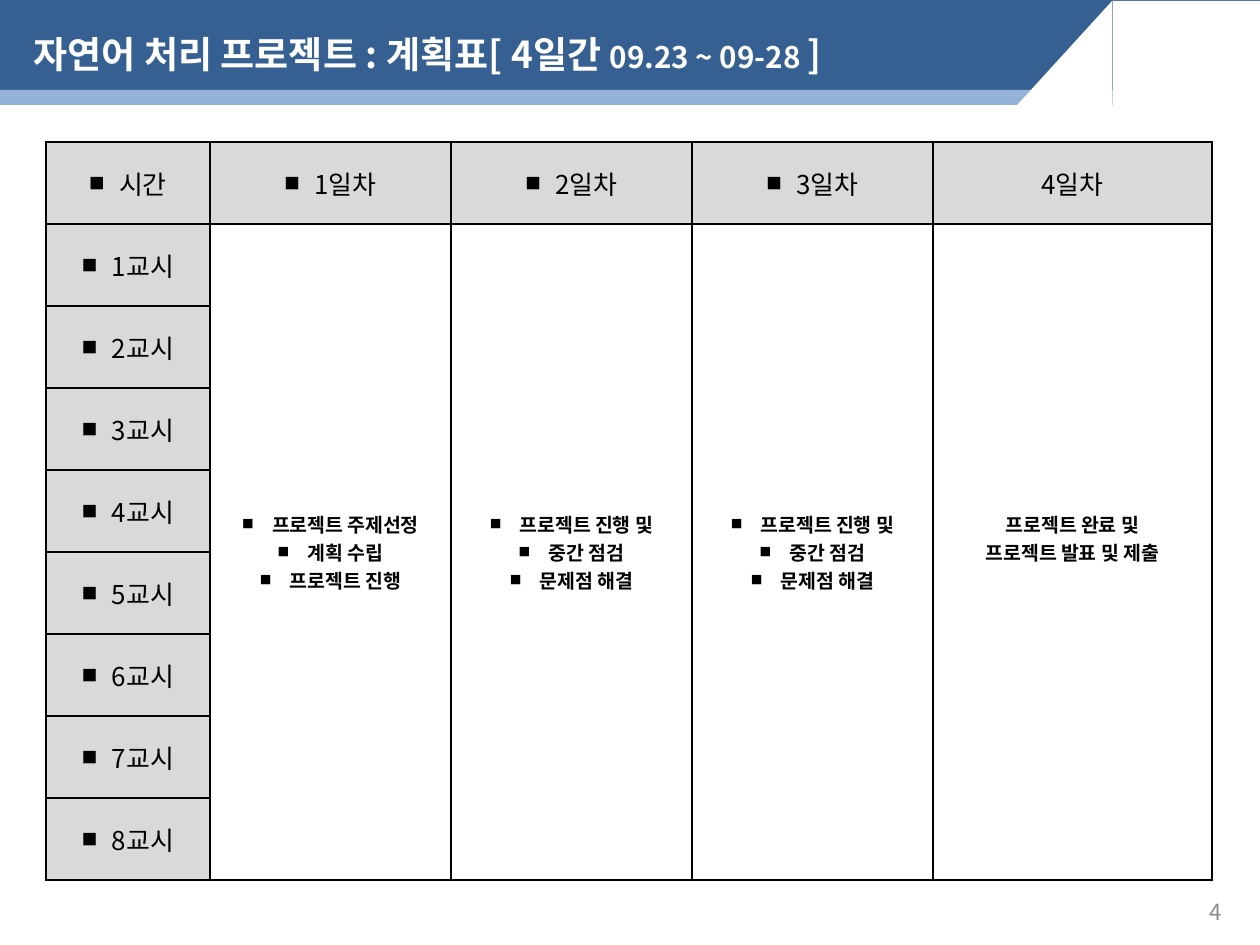
from lxml.etree import SubElement
from pptx import Presentation
from pptx.dml.color import RGBColor
from pptx.enum.shapes import MSO_SHAPE
from pptx.enum.text import MSO_ANCHOR, MSO_AUTO_SIZE, PP_ALIGN
from pptx.oxml.ns import qn
from pptx.util import Pt

EMU_PER_PIXEL = 6858
FONT = "Noto Sans CJK KR"
NAVY = RGBColor(0x37, 0x60, 0x92)
LIGHT_BLUE = RGBColor(0x95, 0xB3, 0xD7)
WHITE = RGBColor(0xFF, 0xFF, 0xFF)
BLACK = RGBColor(0, 0, 0)
HEADER_GRAY = RGBColor(0xD9, 0xD9, 0xD9)
NUMBER_GRAY = RGBColor(0x8C, 0x8C, 0x8C)

COLUMN_WIDTHS = [164, 241, 241, 241, 279]
ROW_HEIGHT = 82
PERIODS = 8
BULLET_INDENT = 30
PROGRESS = ["프로젝트 진행 및", "중간 점검", "문제점 해결"]
DAY_PLANS = [
    ["프로젝트 주제선정", "계획 수립", "프로젝트 진행"],
    PROGRESS,
    PROGRESS,
    ["프로젝트 완료 및", "프로젝트 발표 및 제출"],
]


def px(pixels):
    """Turn pixels into EMU."""
    return pixels * EMU_PER_PIXEL


def add_span(para, text, size, color, bold=False):
    """Add a run set in the slide's font for Latin and Korean text."""
    span = para.add_run()
    span.text = text
    font = span.font
    font.size = Pt(size)
    font.bold = bold
    font.color.rgb = color
    font.name = FONT
    SubElement(font._element, qn("a:ea"), typeface=FONT)


def add_bullet(para):
    """Give a paragraph a small square bullet with a hanging indent."""
    properties = para._p.get_or_add_pPr()
    properties.set("marL", str(px(BULLET_INDENT)))
    properties.set("indent", str(-px(BULLET_INDENT)))
    SubElement(properties, qn("a:buSzPct"), val="60000")
    SubElement(properties, qn("a:buFont"), typeface=FONT)
    SubElement(properties, qn("a:buChar"), char="■")


def add_block(page, kind, left, top, width, height, color, rotation=0):
    """Add a plain filled shape of the header band."""
    block = page.shapes.add_shape(kind, px(left), px(top), px(width), px(height))
    block.rotation = rotation
    block.shadow.inherit = False
    block.fill.solid()
    block.fill.fore_color.rgb = color
    block.line.fill.background()


def add_header(page):
    """Draw the two-tone band with its slanted right end."""
    add_block(page, MSO_SHAPE.RECTANGLE, 0, 0, 1260, 105, NAVY)
    add_block(page, MSO_SHAPE.RECTANGLE, 0, 90, 1260, 15, LIGHT_BLUE)
    add_block(page, MSO_SHAPE.RECTANGLE, 1113, 1, 147, 105, WHITE)
    add_block(page, MSO_SHAPE.RIGHT_TRIANGLE, 928, 9, 193, 176, WHITE, 270)


def fill_title(page):
    """Place the title in front of the band and write its text."""
    title = page.shapes.title
    page.shapes._spTree.append(title._element)
    title.left, title.top, title.width, title.height = map(px, (20, 25, 1020, 57))
    frame = title.text_frame
    frame.word_wrap = True
    frame.auto_size = MSO_AUTO_SIZE.NONE
    frame.vertical_anchor = MSO_ANCHOR.TOP
    para = frame.paragraphs[0]
    para.alignment = PP_ALIGN.LEFT
    add_span(para, "자연어 처리 프로젝트 : 계획표[ 4일간 ", 20, WHITE, True)
    add_span(para, "09.23 ~ 09-28 ", 16, WHITE, True)
    add_span(para, "]", 20, WHITE, True)


def add_page_number(page, number):
    """Write the page number at the bottom right."""
    box = page.shapes.add_textbox(px(924), px(885), px(311), px(53))
    frame = box.text_frame
    frame.word_wrap = True
    frame.vertical_anchor = MSO_ANCHOR.MIDDLE
    para = frame.paragraphs[0]
    para.alignment = PP_ALIGN.RIGHT
    add_span(para, number, 12, NUMBER_GRAY)


def add_borders(cell):
    """Give a cell thin black lines on all four sides."""
    properties = cell._tc.get_or_add_tcPr()
    for side in ("lnL", "lnR", "lnT", "lnB"):
        line = SubElement(properties, qn(f"a:{side}"), w=str(Pt(1)))
        fill = SubElement(line, qn("a:solidFill"))
        SubElement(fill, qn("a:srgbClr"), val=str(BLACK))


def write_cell(cell, lines, size, bulleted, bold=False):
    """Write centred lines into a cell."""
    cell.vertical_anchor = MSO_ANCHOR.MIDDLE
    frame = cell.text_frame
    for index, text in enumerate(lines):
        para = frame.add_paragraph() if index else frame.paragraphs[0]
        para.alignment = PP_ALIGN.CENTER
        if bulleted:
            add_bullet(para)
        add_span(para, text, size, BLACK, bold)


def add_timetable(page):
    """Build the table of days and class periods."""
    rows, columns = PERIODS + 1, len(COLUMN_WIDTHS)
    table = page.shapes.add_table(
        rows, columns, px(46), px(142), px(sum(COLUMN_WIDTHS)), px(rows * ROW_HEIGHT)
    ).table
    table.first_row = table.horz_banding = False
    for column, width in zip(table.columns, COLUMN_WIDTHS):
        column.width = px(width)
    for row_index, row in enumerate(table.rows):
        row.height = px(ROW_HEIGHT)
        for column_index, cell in enumerate(row.cells):
            add_borders(cell)
            if row_index == 0 or column_index == 0:
                cell.fill.solid()
                cell.fill.fore_color.rgb = HEADER_GRAY
            else:
                cell.fill.background()

    write_cell(table.cell(0, 0), ["시간"], 14, True)
    for period in range(1, rows):
        write_cell(table.cell(period, 0), [f"{period}교시"], 14, True)
    for day, plan in enumerate(DAY_PLANS, start=1):
        bulleted = day < len(DAY_PLANS)
        write_cell(table.cell(0, day), [f"{day}일차"], 14, bulleted)
        plan_cell = table.cell(1, day)
        plan_cell.merge(table.cell(PERIODS, day))
        write_cell(plan_cell, plan, 10.5, bulleted, True)
        # Keep the first lines of all days level.
        plan_cell.margin_bottom = px(7 + 28 * (len(PROGRESS) - len(plan)))


def main():
    """Build the project plan slide."""
    deck = Presentation()
    deck.slide_width, deck.slide_height = px(1260), px(945)
    page = deck.slides.add_slide(deck.slide_layouts[5])
    add_header(page)
    add_page_number(page, "4")
    fill_title(page)
    add_timetable(page)
    deck.save("out.pptx")


main()
